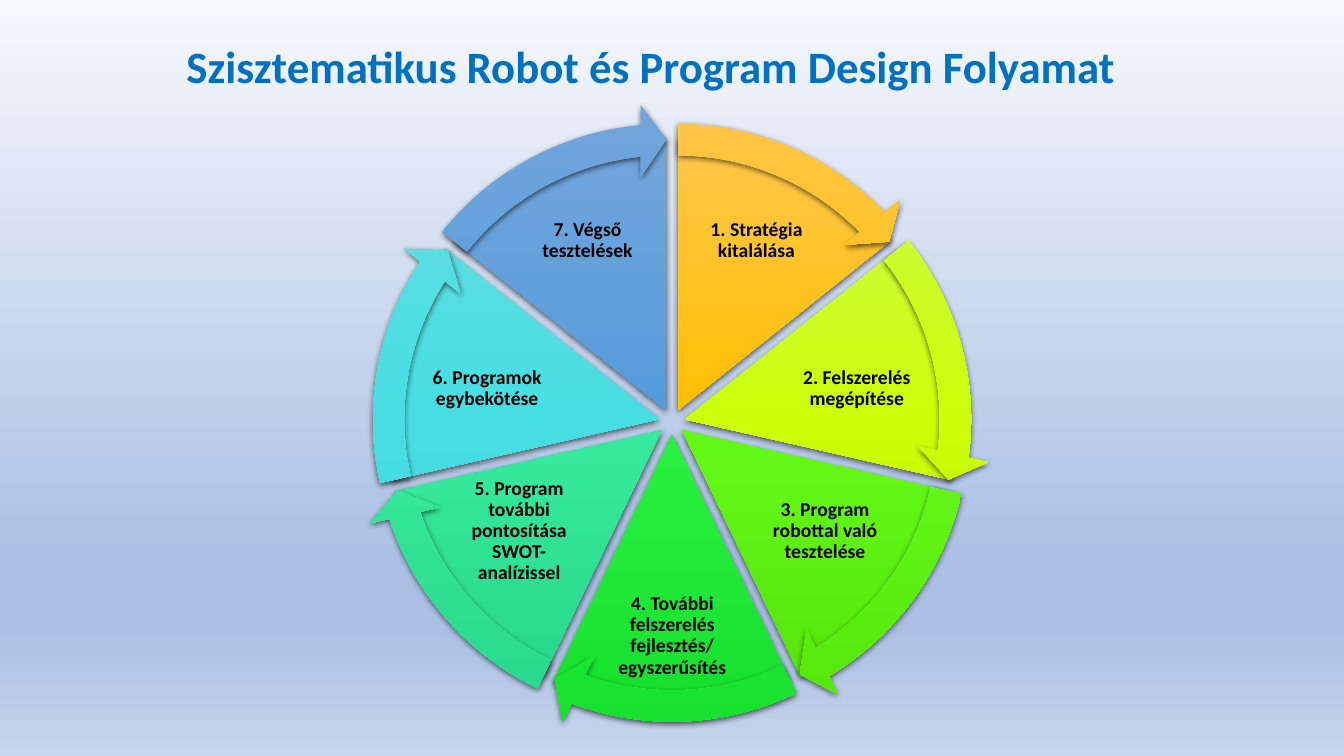
"""Build the slide with the seven-step robot and program design cycle."""
from dataclasses import dataclass
from math import cos, radians, sin

from lxml.etree import SubElement
from pptx import Presentation
from pptx.dml.color import RGBColor
from pptx.enum.shapes import MSO_SHAPE as Preset
from pptx.enum.text import MSO_ANCHOR as Anchor, MSO_AUTO_SIZE as AutoSize, PP_ALIGN as Align
from pptx.oxml.ns import qn
from pptx.util import Pt


@dataclass(frozen=True)
class Theme:
    font: str = "Calibri"
    title_size: int = 32
    label_size: int = 14
    title_color: str = "0070C0"
    label_color: str = "000000"
    shadow_color: str = "000000"
    backdrop: tuple = ((0, "F6F8FC"), (74, "ABC0E4"), (83, "ABC0E4"), (100, "C7D5ED"))


THEME = Theme()
HUB_X, HUB_Y, HUB_GAP = 480, 301.6, 9.3
WEDGE_SIZE, ARROW_SIZE = 390.24, 438.48
FULL_TURN, TOP = 216, 162
ARROW_SWEEP = 27.58

STEPS = [
    ("1. Stratégia kitalálása", (493.9, 134.6, 92.9, 74.2), ("FFC64B", "FFC000", "E3AB00")),
    ("2. Felszerelés megépítése", (558.7, 245.5, 106.6, 64.8), ("CEFA4C", "CCFF08", "B7E505")),
    ("3. Program robottal való tesztelése", (542.9, 343.4, 92.9, 72), ("7AF350", "63F916", "56E50C")),
    ("4. További felszerelés fejlesztés/ egyszerűsítés", (434.9, 421.9, 90.7, 64.8),
     ("56EC62", "27F13E", "18E02F")),
    ("5. Program további pontosítása SWOT-analízissel", (324.4, 343.4, 92.9, 72),
     ("5EE6A6", "37E99C", "27D88C")),
    ("6. Programok egybekötése", (294.7, 245.5, 106.6, 64.8), ("67DDE0", "46DEE2", "36CDD1")),
    ("7. Végső tesztelések", (373.2, 134.6, 92.9, 74.2), ("71A6DB", "559BDB", "448ACA")),
]
STEP_SWEEP = FULL_TURN / len(STEPS)


def fill_gradient(owner, fill, stops):
    """Fill an object from top to bottom with (percent, colour) stops."""
    fill.gradient()
    fill.gradient_angle = 270
    stop_list = owner.element.find(".//" + qn("a:gsLst"))
    for old_stop in list(stop_list):
        stop_list.remove(old_stop)
    for percent, color in stops:
        stop = SubElement(stop_list, qn("a:gs"), pos=str(percent * 1000))
        SubElement(stop, qn("a:srgbClr"), val=color)


def add_shadow(shape):
    """Give a shape a soft shadow just below it."""
    shape.shadow.inherit = False
    effects = shape.element.spPr.find(qn("a:effectLst"))
    shadow = SubElement(effects, qn("a:outerShdw"), blurRad=str(Pt(4.5)), dist=str(Pt(1.5)),
                        dir="5400000", algn="ctr", rotWithShape="0")
    color = SubElement(shadow, qn("a:srgbClr"), val=THEME.shadow_color)
    SubElement(color, qn("a:alpha"), val="63000")


def add_run(paragraph, text, size, color):
    """Add one bold run in the theme font."""
    run = paragraph.add_run()
    run.text = text
    run.font.name = THEME.font
    run.font.size = Pt(size)
    run.font.bold = True
    run.font.color.rgb = RGBColor.from_string(color)


def add_cycle_part(cycle, preset, index, size, adjustments, colors):
    """Add a wedge or arrow, moved outwards from the hub along its middle angle."""
    middle = radians((index + 0.5) * 360 / len(STEPS) - 90)
    left = HUB_X + HUB_GAP * cos(middle) - size / 2
    top = HUB_Y + HUB_GAP * sin(middle) - size / 2
    part = cycle.shapes.add_shape(preset, Pt(left), Pt(top), Pt(size), Pt(size))
    for position, value in enumerate(adjustments):
        part.adjustments[position] = value
    fill_gradient(part, part.fill, zip((0, 50, 100), colors))
    part.line.fill.background()
    add_shadow(part)


def add_label(cycle, text, box):
    """Add the centred caption of one step."""
    frame = cycle.shapes.add_textbox(*map(Pt, box)).text_frame
    frame.word_wrap = True
    frame.vertical_anchor = Anchor.MIDDLE
    frame.margin_left = frame.margin_right = frame.margin_top = frame.margin_bottom = Pt(1.4)
    paragraph = frame.paragraphs[0]
    paragraph.alignment = Align.CENTER
    paragraph.line_spacing = 0.9
    add_run(paragraph, text, THEME.label_size, THEME.label_color)


def add_cycle(slide):
    """Add all wedges with their captions, then the arrows on top."""
    cycle = slide.shapes.add_group_shape()
    starts = [(TOP + index * STEP_SWEEP) % FULL_TURN for index in range(len(STEPS))]
    for index, (text, box, colors) in enumerate(STEPS):
        angles = (starts[index], (starts[index] + STEP_SWEEP) % FULL_TURN)
        add_cycle_part(cycle, Preset.PIE, index, WEDGE_SIZE, angles, colors)
        add_label(cycle, text, box)
    for index, (_, _, colors) in enumerate(STEPS):
        tip = (starts[index] + ARROW_SWEEP) % FULL_TURN
        bend = (0.051, 3.275, tip, starts[index], 0.059)
        add_cycle_part(cycle, Preset.CIRCULAR_ARROW, index, ARROW_SIZE, bend, colors)


def set_title(slide, text):
    """Place and format the title placeholder."""
    title = slide.shapes.title
    title.left, title.top, title.width, title.height = map(Pt, (126, 23.8, 684, 46))
    frame = title.text_frame
    frame.word_wrap = True
    frame.auto_size = AutoSize.SHAPE_TO_FIT_TEXT
    frame.vertical_anchor = Anchor.TOP
    paragraph = frame.paragraphs[0]
    paragraph.alignment = Align.LEFT
    add_run(paragraph, text, THEME.title_size, THEME.title_color)


def main():
    """Build and save the presentation."""
    presentation = Presentation()
    presentation.slide_width, presentation.slide_height = Pt(960), Pt(540)
    slide = presentation.slides.add_slide(presentation.slide_layouts[5])
    fill_gradient(slide, slide.background.fill, THEME.backdrop)
    add_cycle(slide)
    set_title(slide, "Szisztematikus Robot és Program Design Folyamat")
    presentation.save("out.pptx")


if __name__ == "__main__":
    main()
